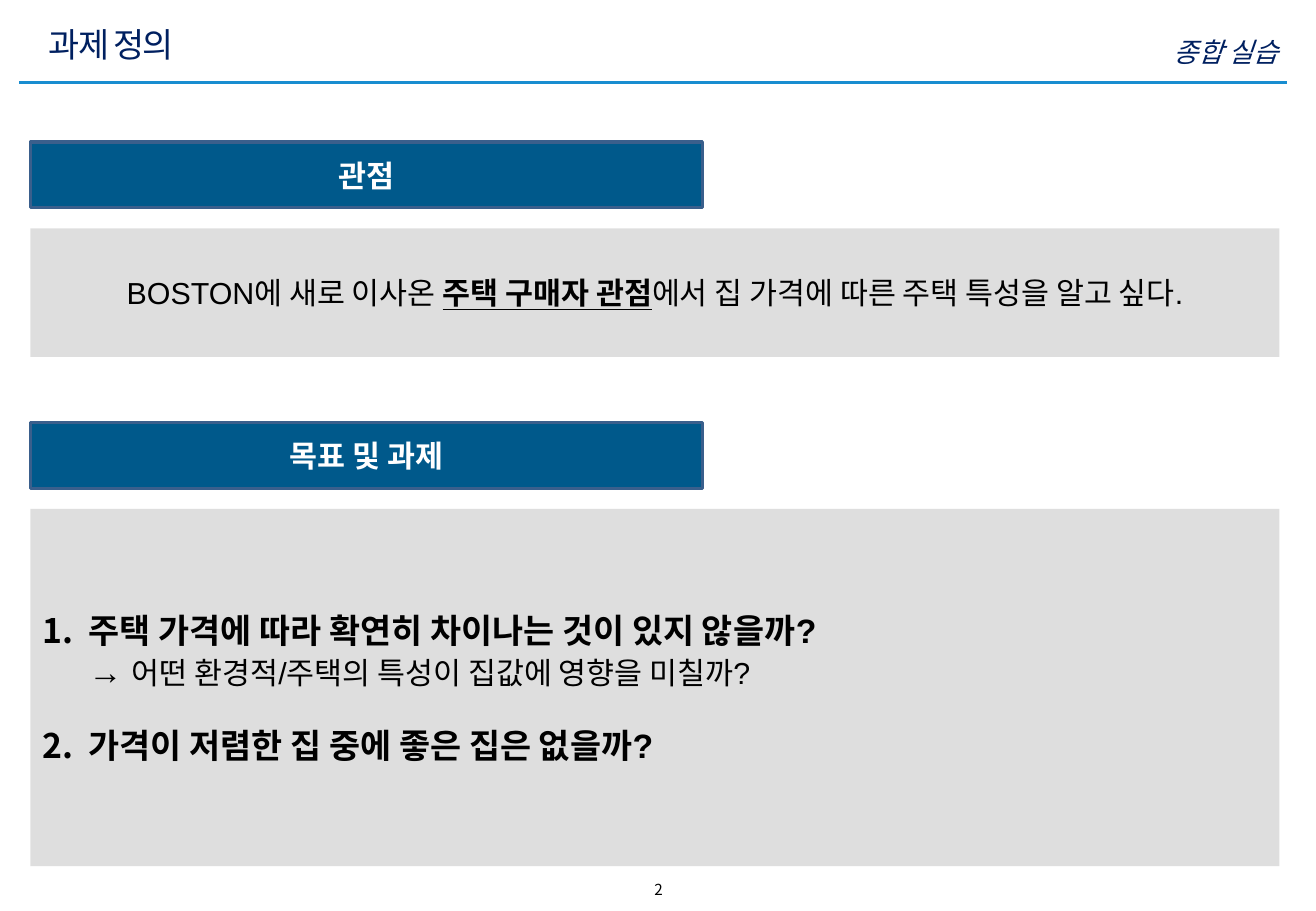
import pptx
import pptx.util
import pptx.dml.color
import pptx.enum.shapes
import pptx.enum.text
import pptx.oxml
import pptx.oxml.ns
from lxml import etree

W, H = 10.83, 7.5
LEFT, PANEL_W = 0.25, 10.28
HEAD_W, HEAD_H, HEAD_GAP = 5.53, 0.54, 0.71
KOREAN = "Noto Sans CJK KR"
COLORS = {"navy": "002060", "rule": "188DD0", "head": "00598B", "edge": "3A5F8C",
          "panel": "BFBFBF", "white": "FFFFFF", "black": "000000"}
ALIGN = pptx.enum.text.PP_ALIGN
MIDDLE = pptx.enum.text.MSO_ANCHOR.MIDDLE
TOP = pptx.enum.text.MSO_ANCHOR.TOP


def rgb(name):
    return pptx.dml.color.RGBColor.from_string(COLORS[name])


def inches(*values):
    return [pptx.util.Inches(v) for v in values]


def child(parent, tag, **attrs):
    return etree.SubElement(parent, pptx.oxml.ns.qn(tag), attrs)


def place(sp, box):
    sp.left, sp.top, sp.width, sp.height = inches(*box)


def set_frame(sp, anchor):
    values = {"word_wrap": True, "auto_size": pptx.enum.text.MSO_AUTO_SIZE.NONE,
              "vertical_anchor": anchor}
    for name, value in values.items():
        setattr(sp.text_frame, name, value)
    return sp.text_frame


def add_run(p, text, size, color="black", font="Arial", **formats):
    r = p.add_run()
    r.text = text
    values = {"size": pptx.util.Pt(size), "name": font, "bold": False, **formats}
    for name, value in values.items():
        setattr(r.font, name, value)
    r.font.color.rgb = rgb(color)
    child(r.font._element, "a:ea", typeface=KOREAN)
    return r


def fill_panel(sp):
    sp.fill.solid()
    sp.fill.fore_color.rgb = rgb("panel")
    solid = sp._element.spPr.find(pptx.oxml.ns.qn("a:solidFill"))
    child(solid[0], "a:alpha", val="50000")
    sp.line.fill.background()


def add_label(s, box, text, size, align, color, **formats):
    sp = s.shapes.add_textbox(*inches(*box))
    p = set_frame(sp, TOP).paragraphs[0]
    p.alignment = align
    add_run(p, text, size, color, KOREAN, **formats)


def add_rect(s, box):
    sp = s.shapes.add_shape(pptx.enum.shapes.MSO_SHAPE.RECTANGLE, *inches(*box))
    sp.shadow.inherit = False
    p = set_frame(sp, MIDDLE).paragraphs[0]
    p.alignment = ALIGN.CENTER
    return sp, p


def add_header(s, box):
    left, top, width, height = box
    # Title
    title = s.shapes.title
    place(title, (left + 0.14, top, 8.51, 0.43))
    p = set_frame(title, MIDDLE).paragraphs[0]
    p.alignment = ALIGN.LEFT
    r = add_run(p, "과제 정의", 20, "navy", KOREAN)
    r.font._element.set("spc", "-100")
    # Course name
    add_label(s, (left + width - 4.04, top + 0.09, 4.07, 0.3), "종합 실습", 16,
              ALIGN.RIGHT, "navy", italic=True)
    # Rule below the header
    y = top + height
    line = s.shapes.add_connector(pptx.enum.shapes.MSO_CONNECTOR.STRAIGHT,
                                  *inches(left, y, left + width, y))
    line.line.color.rgb = rgb("rule")
    line.line.width = pptx.util.Pt(2)
    child(line._element.spPr, "a:effectLst")


def add_heading(s, box, text):
    sp, p = add_rect(s, box)
    sp.fill.solid()
    sp.fill.fore_color.rgb = rgb("head")
    sp.line.color.rgb = rgb("edge")
    sp.line.width = pptx.util.Pt(2)
    add_run(p, text, 18, "white", bold=True)


def add_viewpoint(s, box):
    left, top, width, height = box
    add_heading(s, (left, top, HEAD_W, HEAD_H), "관점")
    sp, p = add_rect(s, (left, top + HEAD_GAP, width, height - HEAD_GAP))
    fill_panel(sp)
    add_run(p, "BOSTON에 새로 이사온 ", 18)
    add_run(p, "주택 구매자 관점", 18, bold=True, underline=True)
    add_run(p, "에서 집 가격에 따른 주택 특성을 알고 싶다.", 18)


def number_paragraph(p):
    p.space_before = pptx.util.Pt(0)
    pPr = p._p.get_or_add_pPr()
    indent = pptx.util.Inches(0.38)
    pPr.set("marL", str(indent))
    pPr.set("indent", str(-indent))
    child(pPr, "a:buFont", typeface=KOREAN)
    child(pPr, "a:buAutoNum", type="arabicPeriod")


def add_goals(s, box):
    left, top, width, height = box
    add_heading(s, (left, top, HEAD_W, HEAD_H), "목표 및 과제")
    body = s.placeholders[1]
    place(body, (left, top + HEAD_GAP, width, height - HEAD_GAP))
    fill_panel(body)
    tf = set_frame(body, MIDDLE)
    # First goal and its question
    p = tf.paragraphs[0]
    number_paragraph(p)
    add_run(p, "주택 가격에 따라 확연히 차이나는 것이 있지 않을까?", 20, bold=True)
    p.add_line_break()
    add_run(p, "→ ", 20, bold=True)
    add_run(p, "어떤 환경적/주택의 특성이 집값에 영향을 미칠까?", 18)
    # Second goal
    p = tf.add_paragraph()
    number_paragraph(p)
    p.space_before = pptx.util.Pt(20)
    add_run(p, "가격이 저렴한 집 중에 좋은 집은 없을까?", 20, bold=True)


def main():
    prs = pptx.Presentation()
    prs.slide_width, prs.slide_height = inches(W, H)
    s = prs.slides.add_slide(prs.slide_layouts[1])
    add_header(s, (0.16, 0.15, 10.43, 0.53))
    add_viewpoint(s, (LEFT, 1.17, PANEL_W, 1.77))
    add_goals(s, (LEFT, 3.48, PANEL_W, 3.65))
    # Page number
    add_label(s, (4.39, 7.2, 2.06, 0.25), "2", 9, ALIGN.CENTER, "black")
    prs.save("out.pptx")


if __name__ == "__main__":
    main()
